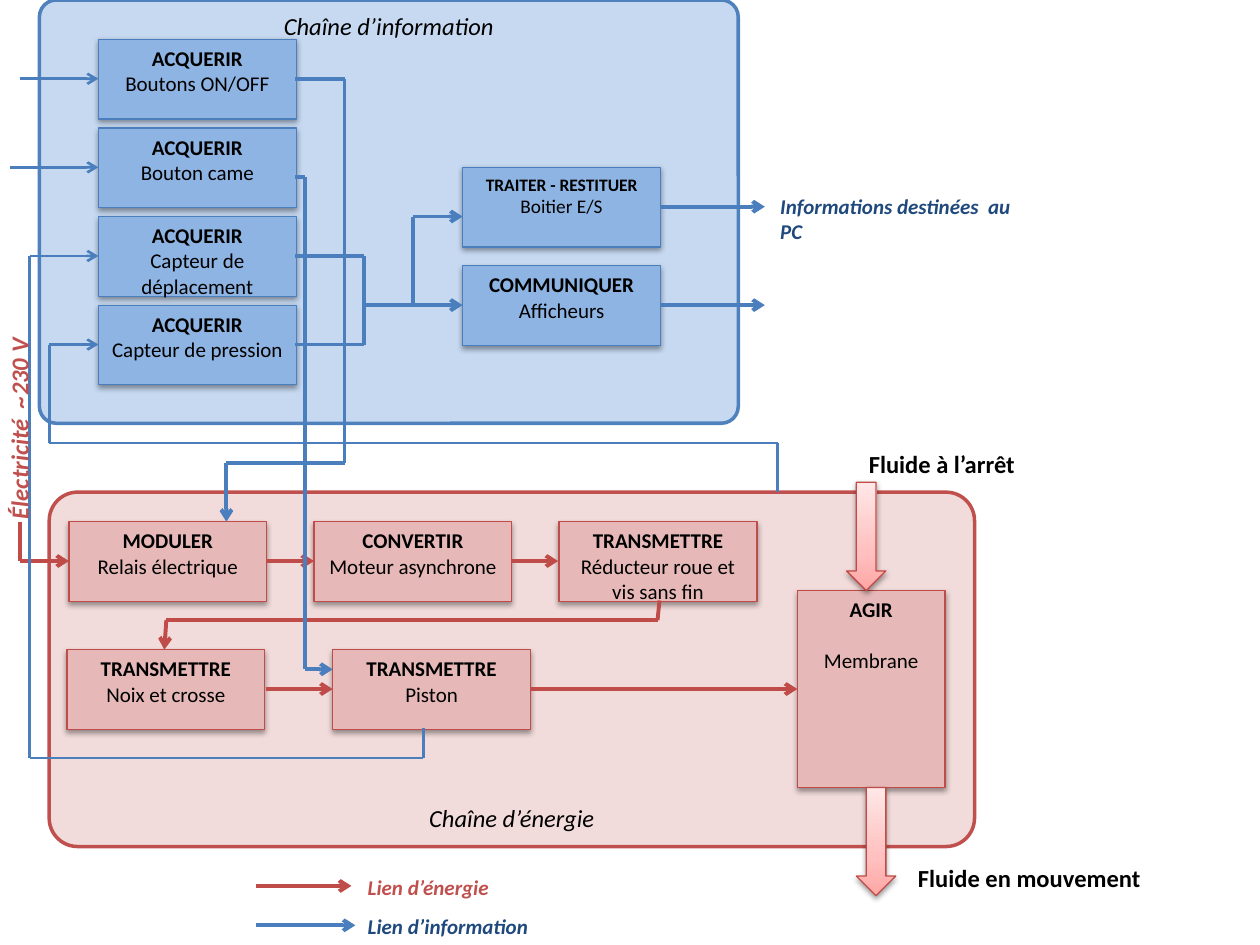
from dataclasses import dataclass
from itertools import pairwise

from lxml.etree import SubElement
from pptx import Presentation
from pptx.dml.color import RGBColor
from pptx.enum.shapes import MSO_CONNECTOR, MSO_SHAPE
from pptx.enum.text import MSO_ANCHOR, PP_ALIGN
from pptx.oxml.ns import qn
from pptx.util import Inches, Pt

COLUMNS = 128
SLIDE_WIDTH, SLIDE_HEIGHT = Inches(10), Inches(7.5)
BLOCK_WIDTH, BLOCK_HEIGHT = 20.1, 8.1


@dataclass(frozen=True)
class Theme:
    """Colours, type sizes and line widths of the diagram."""
    font: str = "Calibri"
    ink: str = "000000"
    energy: str = "BF4C48"
    energy_text: str = "C0504D"
    energy_panel: str = "F2DCDB"
    energy_block: str = "E6B9B8"
    info: str = "4B7EBC"
    info_frame: str = "4F81BD"
    info_text: str = "1F497D"
    info_panel: str = "C6D9F1"
    info_block: str = "8EB4E3"
    fluid: tuple = ((0, "FFA6A5"), (35, "FFC0BF"), (100, "FFE7E7"))
    title: int = 14
    body: int = 12
    thin: float = 1.5
    thick: float = 2.25
    outline: float = 0.75
    frame: float = 2


THEME = Theme()


def grid(*cells):
    """Turn counts of grid squares into slide lengths."""
    return [round(SLIDE_WIDTH * cell / COLUMNS) for cell in cells]


def format_runs(paragraph, size, color=THEME.ink, bold=False, italic=False):
    """Give every run of a paragraph its font."""
    for run in paragraph.runs:
        font = run.font
        font.name, font.size = THEME.font, Pt(size)
        font.bold, font.italic = bold, italic
        font.color.rgb = RGBColor.from_string(color)


def add_shadow(shape):
    """Put a soft shadow below a shape."""
    effects = shape._element.spPr.find(qn("a:effectLst"))
    shadow = SubElement(effects, qn("a:outerShdw"), blurRad="40000",
                        dist="20000", dir="5400000", rotWithShape="0")
    color = SubElement(shadow, qn("a:srgbClr"), val="000000")
    SubElement(color, qn("a:alpha"), val="38000")


def add_outlined(slide, kind, place, line, width, fill=None):
    """Add a preset shape with an outline and an optional plain fill."""
    shape = slide.shapes.add_shape(kind, *grid(*place))
    shape.shadow.inherit = False
    shape.line.color.rgb = RGBColor.from_string(line)
    shape.line.width = Pt(width)
    if fill:
        shape.fill.solid()
        shape.fill.fore_color.rgb = RGBColor.from_string(fill)
    return shape


def add_panel(slide, place, title, fill, line, corner, anchor):
    """Add a rounded panel for one chain, with its title."""
    panel = add_outlined(slide, MSO_SHAPE.ROUNDED_RECTANGLE, place,
                         line, THEME.frame, fill)
    panel.adjustments[0] = corner
    frame = panel.text_frame
    frame.text, frame.vertical_anchor = title, anchor
    frame.paragraphs[0].alignment = PP_ALIGN.CENTER
    format_runs(frame.paragraphs[0], THEME.title, italic=True)


def add_block(slide, left, top, function, component, fill, line,
              width=BLOCK_WIDTH, height=BLOCK_HEIGHT,
              sizes=(THEME.body, THEME.body), gap=0):
    """Add a block naming a function and the component that performs it."""
    block = add_outlined(slide, MSO_SHAPE.RECTANGLE, (left, top, width, height),
                         line, THEME.outline, fill)
    add_shadow(block)
    frame = block.text_frame
    frame.text = f"{function}\n{component}"
    frame.vertical_anchor = MSO_ANCHOR.TOP
    for paragraph, size, bold in zip(frame.paragraphs, sizes, (True, False)):
        paragraph.alignment = PP_ALIGN.CENTER
        format_runs(paragraph, size, bold=bold)
    frame.paragraphs[1].space_before = Pt(gap)


def add_fluid_arrow(slide, left, top):
    """Add a shaded block arrow for the fluid."""
    arrow = add_outlined(slide, MSO_SHAPE.DOWN_ARROW, (left, top, 4, 11),
                         THEME.energy, THEME.outline)
    add_shadow(arrow)
    arrow.fill.gradient()
    arrow.fill.gradient_angle = 90
    stops = next(arrow._element.spPr.iter(qn("a:gsLst")))
    for stop in list(stops):
        stops.remove(stop)
    for share, color in THEME.fluid:
        stop = SubElement(stops, qn("a:gs"), pos=str(share * 1000))
        SubElement(stop, qn("a:srgbClr"), val=color)


def add_route(slide, points, color, width=THEME.thick, arrow=True):
    """Join grid points by lines, the last one ending in an arrowhead."""
    legs = list(pairwise(points))
    for number, (start, end) in enumerate(legs, 1):
        leg = slide.shapes.add_connector(MSO_CONNECTOR.STRAIGHT,
                                         *grid(*start, *end))
        leg.line.color.rgb = RGBColor.from_string(color)
        leg.line.width = Pt(width)
        if arrow and number == len(legs):
            SubElement(leg.line._get_or_add_ln(), qn("a:tailEnd"), type="arrow")
        SubElement(leg._element.spPr, qn("a:effectLst"))


def add_label(slide, place, text, size, color, italic=True, wrap=False, turn=0):
    """Add a bold label."""
    label = slide.shapes.add_textbox(*grid(*place))
    label.rotation = turn
    label.text_frame.text = text
    label.text_frame.word_wrap = wrap
    format_runs(label.text_frame.paragraphs[0], size, color, True, italic)


def add_energy_chain(slide):
    """Draw the energy panel, its blocks and the fluid arrows."""
    add_panel(slide, (5, 50, 94, 36), "Chaîne d’énergie", THEME.energy_panel,
              THEME.energy_text, 0.08, MSO_ANCHOR.BOTTOM)
    colors = THEME.energy_block, THEME.energy
    for left, top, function, component in (
            (7, 53, "MODULER", "Relais électrique"),
            (31.9, 53, "CONVERTIR", "Moteur asynchrone"),
            (56.8, 53, "TRANSMETTRE", "Réducteur roue et vis sans fin"),
            (6.8, 66, "TRANSMETTRE", "Noix et crosse"),
            (33.8, 66, "TRANSMETTRE", "Piston")):
        add_block(slide, left, top, function, component, *colors)
    add_block(slide, 81, 60, "AGIR", "Membrane", *colors,
              width=15, height=20, gap=14.65)
    add_fluid_arrow(slide, 86, 49)
    add_fluid_arrow(slide, 87, 80)


def add_information_chain(slide):
    """Draw the information panel and its blocks."""
    add_panel(slide, (4, 0, 71, 43), "Chaîne d’information", THEME.info_panel,
              THEME.info_frame, 0.04, MSO_ANCHOR.TOP)
    colors = THEME.info_block, THEME.info
    for row, sensor in enumerate(("Boutons ON/OFF", "Bouton came",
                                  "Capteur de déplacement",
                                  "Capteur de pression")):
        add_block(slide, 10, 4 + 9 * row, "ACQUERIR", sensor, *colors)
    add_block(slide, 47, 17, "TRAITER - RESTITUER", "Boitier E/S", *colors,
              sizes=(10, 11))
    add_block(slide, 47, 27, "COMMUNIQUER", "Afficheurs", *colors)


def add_links(slide):
    """Draw the energy and information links."""
    for points in (
            [(2, 53), (2, 57), (7, 57)],
            [(27.1, 57), (31.9, 57)],
            [(51.9, 57), (56.7, 57)],
            [(67, 61), (66.8, 63), (16.9, 63), (16.7, 66)],
            [(27, 70), (33.8, 70)],
            [(53.9, 70), (81, 70)],
            [(26, 90), (35.7, 90)]):
        add_route(slide, points, THEME.energy)
    for points in (
            [(30, 8), (35, 8), (35, 47), (23, 47), (23, 53)],
            [(30, 18), (31, 18), (31, 68), (33.8, 68)],
            [(37, 31), (47, 31)],
            [(42, 31), (42, 22), (47, 22)],
            [(67, 21), (77.7, 21)],
            [(67, 31), (77.7, 31)],
            [(26, 94), (36.1, 94)]):
        add_route(slide, points, THEME.info)
    add_route(slide, [(30, 26), (37, 26), (37, 35), (30, 35)], THEME.info,
              arrow=False)
    for points in (
            [(2, 8), (10, 8)],
            [(1, 17), (10, 17)],
            [(43, 74), (43, 77), (3, 77), (3, 26), (10, 26)],
            [(79, 50), (79, 45), (5, 45), (5, 35), (10, 35)]):
        add_route(slide, points, THEME.info, THEME.thin)


def add_labels(slide):
    """Write the inputs, the outputs and the legend."""
    add_label(slide, (78, 19, 26.4, 6.4), "Informations destinées  au PC",
              THEME.body, THEME.info_text, wrap=True)
    add_label(slide, (36.1, 92.2, 19.2, 3.9), "Lien d’information",
              THEME.body, THEME.info_text, wrap=True)
    add_label(slide, (36.1, 88.2, 15.1, 3.9), "Lien d’énergie",
              THEME.body, THEME.energy_text)
    add_label(slide, (87, 45, 17.8, 4.3), "Fluide à l’arrêt",
              THEME.title, THEME.ink, italic=False)
    add_label(slide, (92, 87, 25.3, 4.3), "Fluide en mouvement",
              THEME.title, THEME.ink, italic=False)
    add_label(slide, (-8.6, 41.3, 21.1, 4.3), "Électricité  ~230 V",
              THEME.title, THEME.energy_text, turn=270)


def main():
    """Build the slide and save it."""
    deck = Presentation()
    deck.slide_width, deck.slide_height = SLIDE_WIDTH, SLIDE_HEIGHT
    slide = deck.slides.add_slide(deck.slide_layouts[6])
    for draw in (add_energy_chain, add_information_chain, add_links, add_labels):
        draw(slide)
    deck.save("out.pptx")


main()
